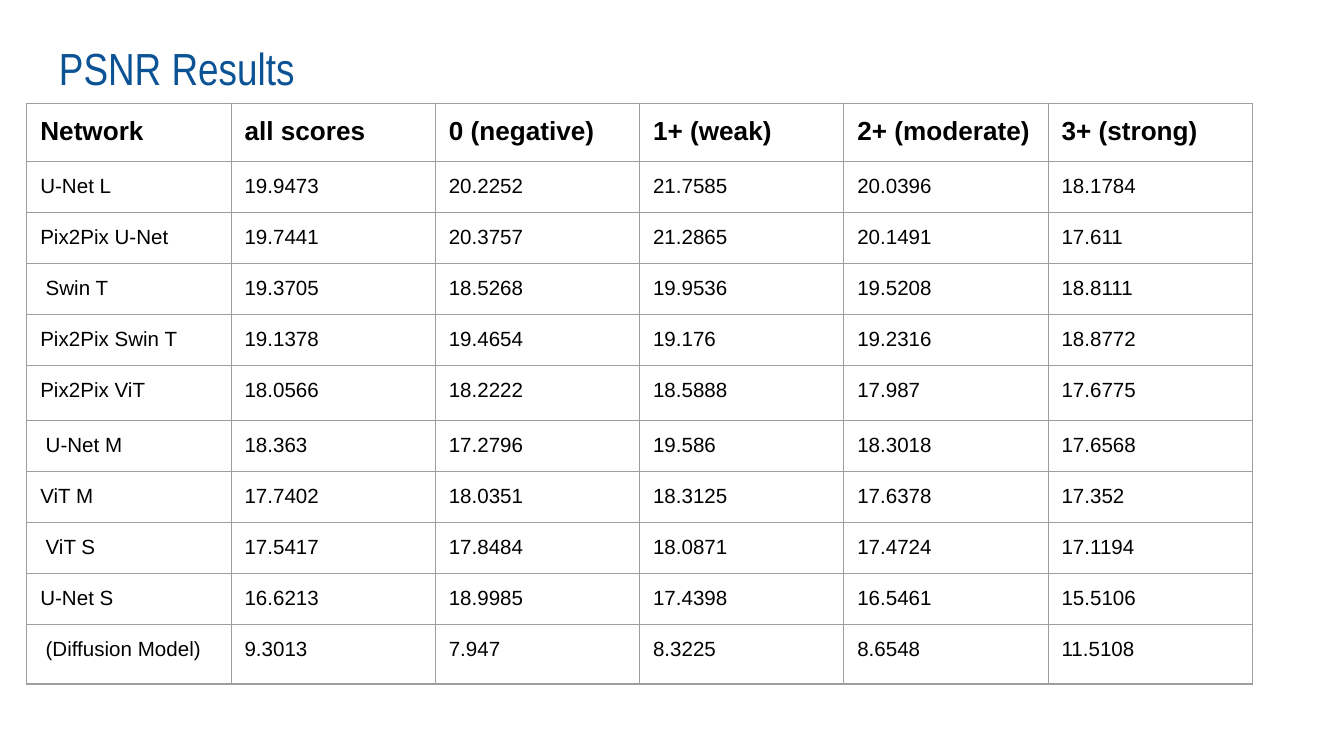
from dataclasses import dataclass

from lxml import etree
from pptx import Presentation
from pptx import util as u
from pptx.dml import color
from pptx.enum import text
from pptx.oxml import ns


@dataclass(frozen=True)
class Theme:
    """Colours, fonts and sizes of the slide."""
    title_color: str = "0B5394"
    ink: str = "000000"
    grid: str = "9E9E9E"
    title_font: str = "Arial Narrow"
    body_font: str = "Arial"
    title_size: float = 24.1
    header_size: float = 14
    body_size: float = 11
    grid_width: float = 0.75
    inset: float = 0.1
    title_bottom: float = 0.13
    cell_bottom: float = 0.09
    indent: float = 0.04


THEME = Theme()
HEADER = ("Network", "all scores", "0 (negative)", "1+ (weak)", "2+ (moderate)", "3+ (strong)")
RESULTS = (
    ("U-Net L", "19.9473", "20.2252", "21.7585", "20.0396", "18.1784"),
    ("Pix2Pix U-Net", "19.7441", "20.3757", "21.2865", "20.1491", "17.611"),
    ("Swin T", "19.3705", "18.5268", "19.9536", "19.5208", "18.8111"),
    ("Pix2Pix Swin T", "19.1378", "19.4654", "19.176", "19.2316", "18.8772"),
    ("Pix2Pix ViT", "18.0566", "18.2222", "18.5888", "17.987", "17.6775"),
    ("U-Net M", "18.363", "17.2796", "19.586", "18.3018", "17.6568"),
    ("ViT M", "17.7402", "18.0351", "18.3125", "17.6378", "17.352"),
    ("ViT S", "17.5417", "17.8484", "18.0871", "17.4724", "17.1194"),
    ("U-Net S", "16.6213", "18.9985", "17.4398", "16.5461", "15.5106"),
    ("(Diffusion Model)", "9.3013", "7.947", "8.3225", "8.6548", "11.5108"),
)
INDENTED = {"Swin T", "U-Net M", "ViT S", "(Diffusion Model)"}
ROW_HEIGHT = 0.38
SPECIAL_HEIGHTS = {0: 0.43, 5: 0.41, 10: 0.44}


def style_text(frame, font, size, shade, bold=False):
    """Format every run in a text frame."""
    for para in frame.paragraphs:
        for span in para.runs:
            span.font.name = font
            span.font.size = u.Pt(size)
            span.font.bold = bold
            span.font.color.rgb = color.RGBColor.from_string(shade)


def set_insets(holder, inset, bottom):
    """Set the margins of a cell or text frame."""
    holder.margin_left = holder.margin_right = holder.margin_top = u.Inches(inset)
    holder.margin_bottom = u.Inches(bottom)


def outline_cell(cell):
    """Draw a thin solid border on all four sides of a cell."""
    properties = cell._tc.get_or_add_tcPr()
    for side in ("a:lnL", "a:lnR", "a:lnT", "a:lnB"):
        line = etree.SubElement(properties, ns.qn(side), w=str(u.Pt(THEME.grid_width)))
        fill = etree.SubElement(line, ns.qn("a:solidFill"))
        etree.SubElement(fill, ns.qn("a:srgbClr"), val=THEME.grid)


def add_title(page, left, top, width, height):
    """Place the slide title in the given box."""
    box = page.shapes.add_textbox(*map(u.Inches, (left, top, width, height)))
    frame = box.text_frame
    frame.word_wrap = True
    frame.vertical_anchor = text.MSO_ANCHOR.MIDDLE
    set_insets(frame, THEME.inset, THEME.title_bottom)
    frame.text = "PSNR Results"
    style_text(frame, THEME.title_font, THEME.title_size, THEME.title_color)


def fill_cell(cell, content, is_header):
    """Write and style one cell of the results table."""
    set_insets(cell, THEME.inset, THEME.cell_bottom)
    if content in INDENTED:
        cell.margin_left = u.Inches(THEME.inset + THEME.indent)
    outline_cell(cell)
    cell.fill.background()
    cell.text = content
    size = THEME.header_size if is_header else THEME.body_size
    style_text(cell.text_frame, THEME.body_font, size, THEME.ink, is_header)


def add_results_table(page, left, top, width):
    """Place the table of scores per network in the given box."""
    rows = (HEADER, *RESULTS)
    heights = [SPECIAL_HEIGHTS.get(index, ROW_HEIGHT) for index in range(len(rows))]
    box = (left, top, width, sum(heights))
    table = page.shapes.add_table(len(rows), len(HEADER), *map(u.Inches, box)).table
    table.horz_banding = False
    table.first_row = False
    for column in table.columns:
        column.width = u.Inches(width / len(HEADER))
    for row_index, (values, height) in enumerate(zip(rows, heights)):
        table.rows[row_index].height = u.Inches(height)
        for column_index, content in enumerate(values):
            fill_cell(table.cell(row_index, column_index), content, row_index == 0)


def main():
    """Build and save the deck."""
    deck = Presentation()
    deck.slide_width = u.Inches(10)
    deck.slide_height = deck.slide_width * 9 // 16
    page = deck.slides.add_slide(deck.slide_layouts[6])
    add_title(page, 0.34, 0.2, 9.32, 0.63)
    add_results_table(page, 0.2, 0.77, 9.12)
    deck.save("out.pptx")


if __name__ == "__main__":
    main()
